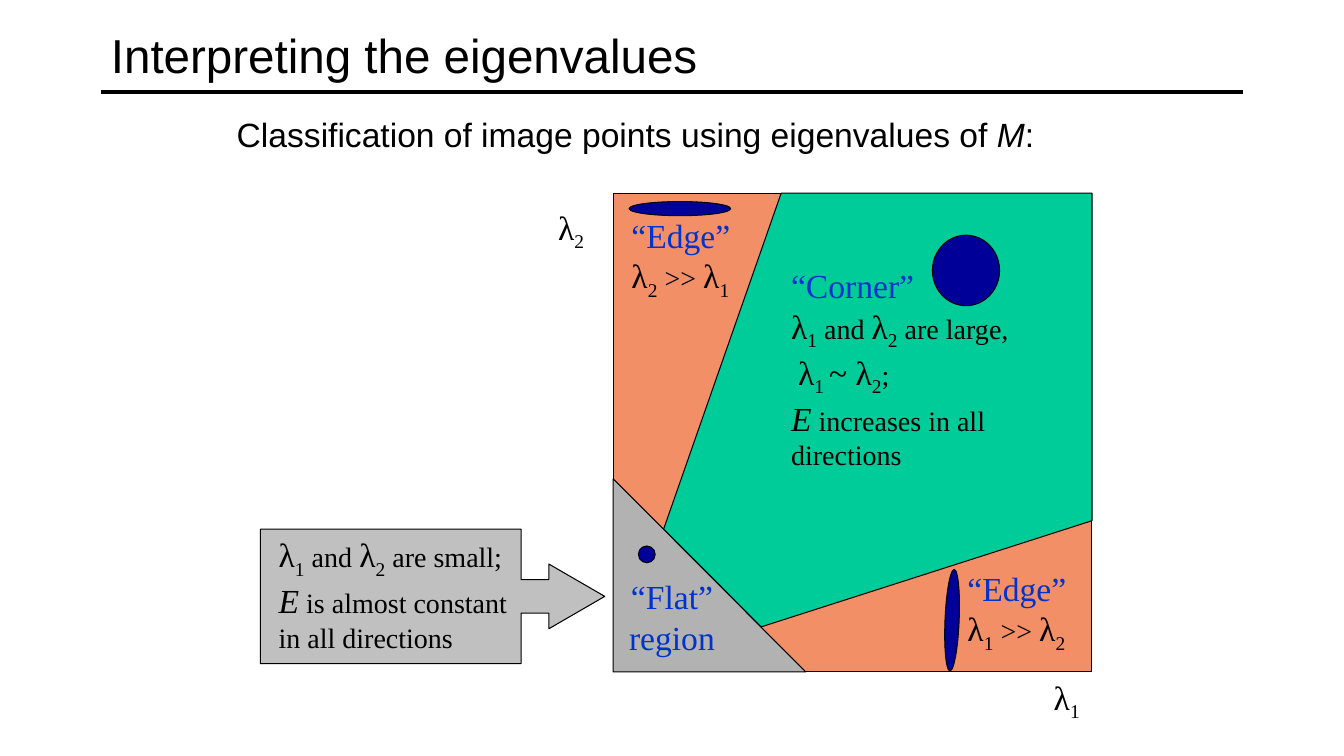
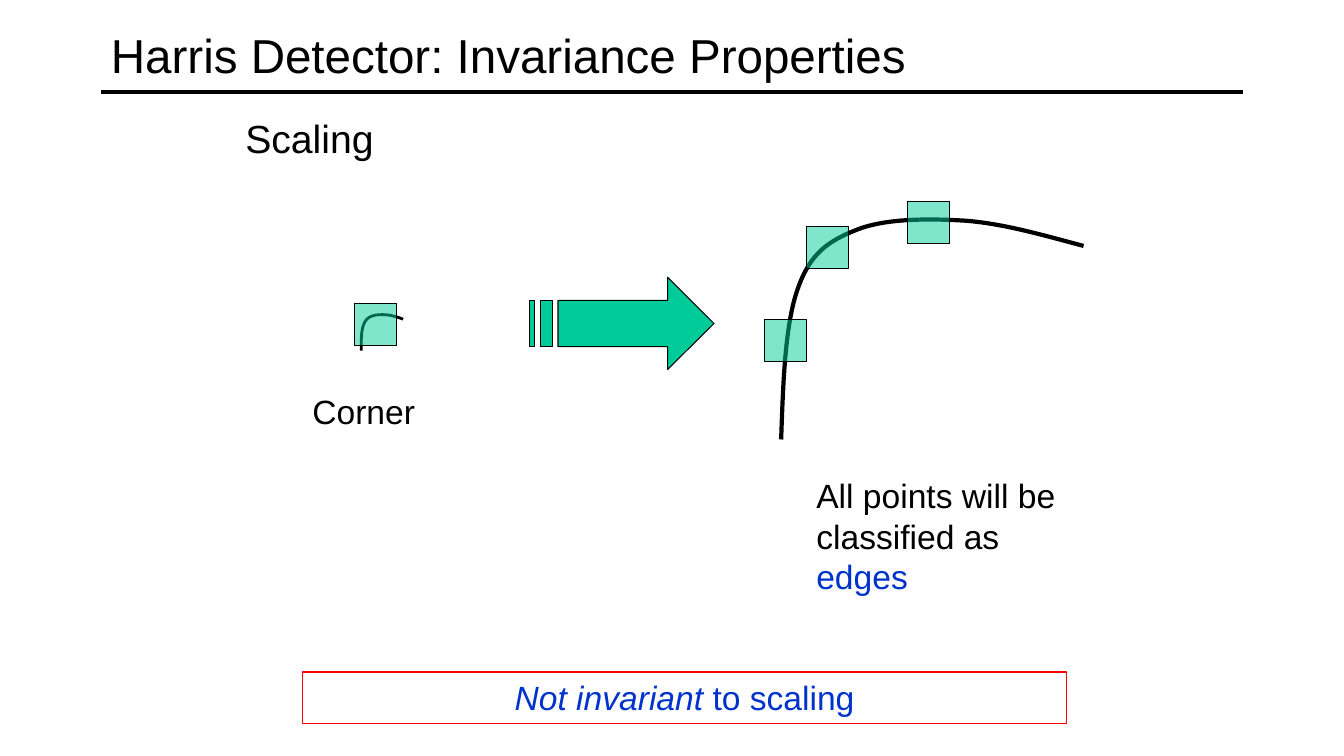
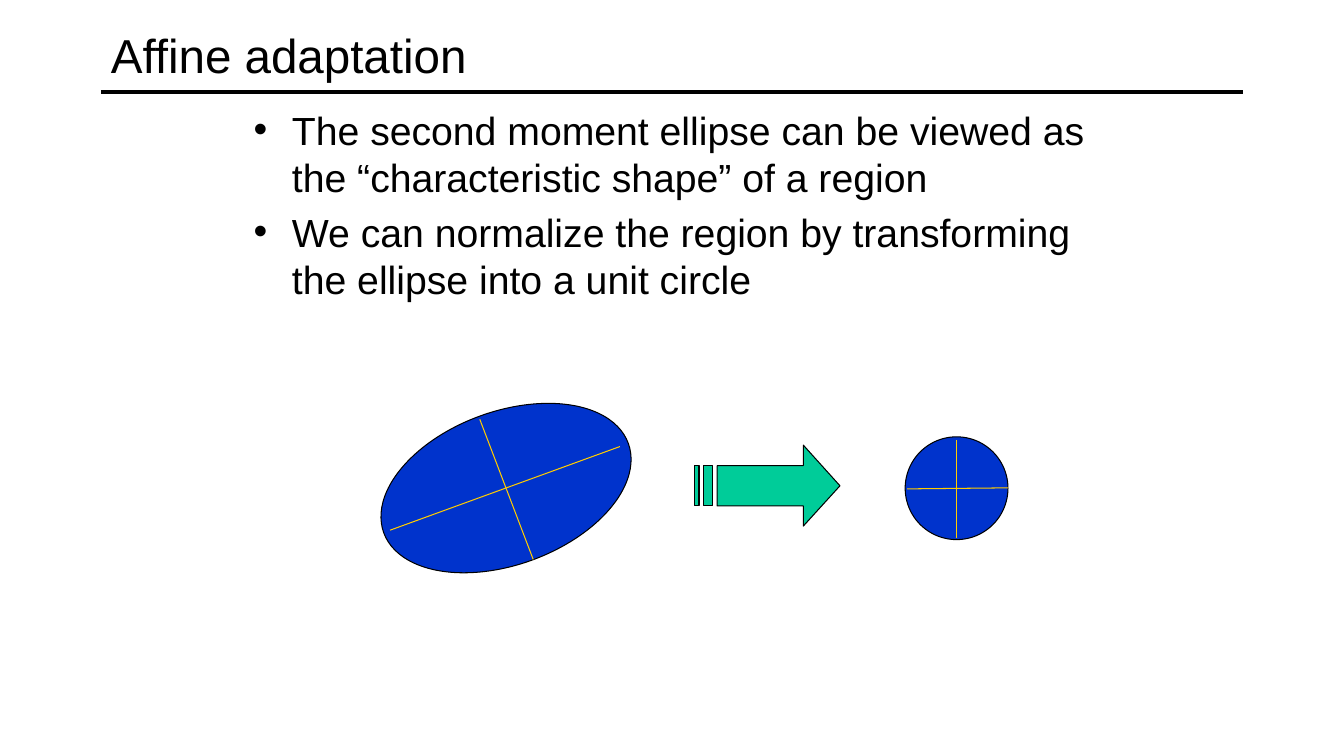
from dataclasses import dataclass, replace

from lxml import etree
from pptx import Presentation
from pptx.dml.color import RGBColor as RGB
from pptx.enum.shapes import MSO_CONNECTOR as CONN, MSO_SHAPE as SHAPE
from pptx.enum.text import MSO_ANCHOR as ANCHOR, MSO_AUTO_SIZE as AUTO, PP_ALIGN as ALIGN
from pptx.oxml.ns import qn
from pptx.util import Inches, Pt


@dataclass(frozen=True)
class Style:
    font: str
    size: int
    color: str = "000000"
    italic: bool = False
    sub: bool = False


class Theme:
    BLACK, BLUE, NAVY, GREEN = "000000", "0033CC", "000099", "00CC99"
    ORANGE, GRAY, SILVER, RED, GOLD = "F38F67", "B2B2B2", "C0C0C0", "FF0000", "FFCC00"
    THIN, CURVE_SMALL, THICK = 0.75, 2, 3
    TITLE = Style("Arial", 34)
    BODY = Style("Arial", 28)
    NOTE = Style("Arial", 24)
    NOTE_VAR = replace(NOTE, italic=True)
    NOTE_KEY = replace(NOTE, color=BLUE)
    NOTE_KEY_VAR = replace(NOTE_KEY, italic=True)
    MATH = Style("Times New Roman", 24)
    MATH_VAR = replace(MATH, italic=True)
    MATH_SUB = replace(MATH, sub=True)
    MATH_TEXT = replace(MATH, size=20)
    REGION = replace(MATH, color=BLUE)


GRID = 12
BULLET_SPACE = Pt(5.6)
HANG = Inches(0.38)
CORNER_CURVE = [
    (0, 2.19),
    (0.02, 1.61), (0.04, 1.04), (0.17, 0.69),
    (0.29, 0.34), (0.47, 0.22), (0.75, 0.11),
    (1.03, 0), (1.46, 0), (1.83, 0.02),
    (2.21, 0.05), (2.6, 0.16), (3, 0.27),
]


def snap(v):
    on_grid = round(v * GRID) / GRID
    return on_grid if abs(on_grid - v) < 0.005 else v


def box(*lengths):
    return [Inches(snap(v)) for v in lengths]


def add_runs(p, runs):
    for text, style in runs:
        for i, part in enumerate(text.split("\n")):
            if i:
                p.add_line_break()
            if not part:
                continue
            r = p.add_run()
            r.text = part
            f = r.font
            f.name, f.size, f.italic = style.font, Pt(style.size), style.italic
            f.color.rgb = RGB.from_string(style.color)
            if style.sub:
                f._element.set("baseline", "-25000")


def lam(index):
    return [("λ", Theme.MATH), (index, Theme.MATH_SUB)]


def write(sp, runs, align=ALIGN.LEFT):
    tf = sp.text_frame
    tf.word_wrap = True
    tf.auto_size = AUTO.SHAPE_TO_FIT_TEXT
    tf.vertical_anchor = ANCHOR.TOP
    p = tf.paragraphs[0]
    p.alignment = align
    add_runs(p, runs)


def add_text(shapes, at, runs, align=ALIGN.LEFT):
    write(shapes.add_textbox(*box(*at)), runs, align)


def paint(sp, fill=None, line=Theme.BLACK, width=Theme.THIN, alpha=None):
    sp.shadow.inherit = False
    if fill:
        sp.fill.solid()
        sp.fill.fore_color.rgb = RGB.from_string(fill)
    else:
        sp.fill.background()
    if alpha:
        color = sp.element.spPr.find(qn("a:solidFill"))[0]
        etree.SubElement(color, qn("a:alpha")).set("val", str(alpha * 1000))
    sp.line.color.rgb = RGB.from_string(line)
    sp.line.width = Pt(width)
    return sp


def add_preset(shapes, kind, at, fill=None, rotation=0, **look):
    sp = shapes.add_shape(kind, *box(*at))
    sp.rotation = rotation
    return paint(sp, fill, **look)


def add_outline(shapes, contours, fill=None, close=True, **look):
    first, *others = [[box(*pt) for pt in c] for c in contours]
    builder = shapes.build_freeform(*first[0])
    builder.add_line_segments(first[1:], close=close)
    for contour in others:
        builder.move_to(*contour[0])
        builder.add_line_segments(contour[1:], close=close)
    return paint(builder.convert_to_shape(), fill, **look)


def add_line(shapes, start, end, color, width):
    ln = shapes.add_connector(CONN.STRAIGHT, *box(*start, *end))
    ln.line.color.rgb = RGB.from_string(color)
    ln.line.width = Pt(width)
    etree.SubElement(ln.element.spPr, qn("a:effectLst"))
    return ln


def add_striped_arrow(shapes, x, y, w, h):
    def stripe(a, b):
        return [(a, 1 / 4), (a, 3 / 4), (b, 3 / 4), (b, 1 / 4)]

    body = [(3 / 4, 0), (3 / 4, 1 / 4), (5 / 32, 1 / 4), (5 / 32, 3 / 4),
            (3 / 4, 3 / 4), (3 / 4, 1), (1, 1 / 2)]
    contours = [body, stripe(1 / 16, 1 / 8), stripe(0, 1 / 32)]
    add_outline(shapes, [[(x + w * u, y + h * v) for u, v in c] for c in contours], Theme.GREEN)


def add_corner_curve(shapes, x, y, w, h, width):
    full_w, full_h = CORNER_CURVE[-1][0], CORNER_CURVE[0][1]
    pts = [(x + w * u / full_w, y + h * v / full_h) for u, v in CORNER_CURVE]
    sp = add_outline(shapes, [pts], close=False, width=width)
    outline = next(sp.element.iter(qn("a:path")))
    segments = outline.findall(qn("a:lnTo"))
    for i in range(0, len(segments), 3):
        curve = etree.SubElement(outline, qn("a:cubicBezTo"))
        for segment in segments[i:i + 3]:
            curve.append(segment[0])
            outline.remove(segment)


def add_window(shapes, x, y):
    add_preset(shapes, SHAPE.RECTANGLE, (x, y, 0.42, 0.42), Theme.GREEN, alpha=50)


def add_crossed_ellipse(slide, at, axes, angle=0):
    shapes = slide.shapes.add_group_shape().shapes
    add_preset(shapes, SHAPE.OVAL, at, Theme.BLUE, angle)
    for start, end in axes:
        add_line(shapes, start, end, Theme.GOLD, Theme.THIN)


def place(sp, at):
    sp.left, sp.top, sp.width, sp.height = box(*at)
    tf = sp.text_frame
    tf.word_wrap = True
    tf.auto_size = AUTO.NONE
    return tf


def new_slide(prs, layout, title):
    slide = prs.slides.add_slide(prs.slide_layouts[layout])
    tf = place(slide.shapes.title, (1, 0.08, 11.33, 0.92))
    tf.vertical_anchor = ANCHOR.MIDDLE
    p = tf.paragraphs[0]
    p.alignment = ALIGN.LEFT
    add_runs(p, [(title, Theme.TITLE)])
    return slide


def add_master_rule(prs, slide):
    rule = add_line(slide.shapes, (1, 0.92), (12.33, 0.92), Theme.BLACK, Theme.THICK)
    rule.element.nvCxnSpPr.cNvPr.set("id", "20")
    prs.slide_master.shapes.element.append(rule.element)


def fill_body(slide, at, items, bullet=None):
    tf = place(slide.placeholders[1], at)
    for i, item in enumerate(items):
        p = tf.add_paragraph() if i else tf.paragraphs[0]
        pPr = p._p.get_or_add_pPr()
        pPr.set("marL", str(HANG))
        pPr.set("indent", str(-HANG))
        if bullet:
            etree.SubElement(pPr, qn("a:buChar")).set("char", bullet)
        else:
            etree.SubElement(pPr, qn("a:buNone"))
        p.space_before = BULLET_SPACE if i else Pt(0)
        add_runs(p, [(item, Theme.BODY)])


def eigenvalue_slide(prs):
    slide = new_slide(prs, 5, "Interpreting the eigenvalues")
    shapes = slide.shapes
    callout = add_preset(shapes, SHAPE.RIGHT_ARROW_CALLOUT, (2.58, 5.25, 3.42, 1.33), Theme.SILVER)
    for i, value in enumerate((0.25, 0.241, 0.416, 0.757)):
        callout.adjustments[i] = value

    add_preset(shapes, SHAPE.RECTANGLE, (6.08, 1.92, 4.75, 4.75), Theme.ORANGE)
    add_text(shapes, (10.17, 6.67, 0.83, 0.5), lam("1"), ALIGN.CENTER)
    add_text(shapes, (5.08, 2, 1.17, 0.5), lam("2"), ALIGN.CENTER)
    corner = [(6.58, 5.25), (7.75, 1.92), (10.83, 1.92), (10.83, 5.17), (7.55, 6.22)]
    add_outline(shapes, [corner], Theme.GREEN)
    add_preset(shapes, SHAPE.RIGHT_TRIANGLE, (6.08, 4.75, 1.91, 1.92), Theme.GRAY)

    text, var = Theme.MATH_TEXT, Theme.MATH_VAR
    both = [*lam("1"), (" and ", text), *lam("2")]
    add_text(shapes, (7.75, 2.58, 2.92, 2.05), [
        ("“Corner”\n", Theme.REGION), *both, (" are large,\n ", text),
        *lam("1 "), ("~ ", Theme.MATH), *lam("2"), (";\n", text),
        ("E", var), (" increases in all directions", text)])
    add_text(shapes, (2.67, 5.25, 2.58, 1.24), [
        *both, (" are small;\n", text),
        ("E", var), (" is almost constant in all directions", text)])
    for x, y, large, small in ((9.5, 5.58, "1", "2"), (6.17, 2.08, "2", "1")):
        add_text(shapes, (x, y, 1.42, 0.91), [
            ("“Edge” \n", Theme.REGION), *lam(large), (" >> ", text), *lam(small)])
    add_text(shapes, (6, 5.67, 1.33, 0.91), [("“Flat” region", Theme.REGION)], ALIGN.CENTER)
    add_text(shapes, (2.25, 1.08, 8.75, 0.51), [
        ("Classification of image points using eigenvalues of ", Theme.NOTE),
        ("M", Theme.NOTE_VAR), (":", Theme.NOTE)])

    for *at, angle in ((9.25, 2.33, 0.67, 0.7, 0), (6.24, 2, 1.01, 0.14, 0),
                       (6.33, 5.42, 0.17, 0.17, 0), (8.94, 6.08, 1.01, 0.14, 92.4)):
        add_preset(shapes, SHAPE.OVAL, at, Theme.NAVY, angle)
    return slide


def invariance_slide(prs):
    slide = new_slide(prs, 1, "Harris Detector: Invariance Properties")
    shapes = slide.shapes
    fill_body(slide, (2.33, 1.08, 8.5, 4.5), ["Scaling"])
    add_text(shapes, (8, 4.67, 2.83, 1.31), [
        ("All points will be classified as ", Theme.NOTE), ("edges", Theme.NOTE_KEY)])

    before = shapes.add_group_shape().shapes
    add_corner_curve(before, 3.58, 3.12, 0.42, 0.36, Theme.CURVE_SMALL)
    add_window(before, 3.52, 3.01)
    add_text(shapes, (3, 3.83, 1.75, 0.51), [("Corner", Theme.NOTE)])

    verdict = add_preset(shapes, SHAPE.RECTANGLE, (3, 6.67, 7.58, 0.51), line=Theme.RED)
    write(verdict, [("Not invariant ", Theme.NOTE_KEY_VAR), ("to scaling", Theme.NOTE_KEY)],
          ALIGN.CENTER)

    after = shapes.add_group_shape().shapes
    add_corner_curve(after, 7.75, 2.17, 3, 2.19, Theme.THICK)
    add_striped_arrow(after, 5.25, 2.75, 1.83, 0.92)
    for x, y in ((9, 2), (8, 2.25), (7.58, 3.17)):
        add_window(after, x, y)


def affine_slide(prs):
    slide = new_slide(prs, 1, "Affine adaptation")
    fill_body(slide, (2.42, 1, 8.5, 2.25), [
        "The second moment ellipse can be viewed as the “characteristic shape” of a region",
        "We can normalize the region by transforming the ellipse into a unit circle",
    ], "•")
    add_striped_arrow(slide.shapes, 6.89, 4.42, 1.44, 0.8)
    add_crossed_ellipse(slide, (8.98, 4.33, 1.02, 1.02),
                        [((9.49, 4.37), (9.49, 5.33)), ((9, 4.85), (10, 4.84))])
    add_crossed_ellipse(slide, (4.26, 3.55, 1.52, 2.58),
                        [((6.15, 4.43), (3.87, 5.26)), ((4.76, 4.16), (5.29, 5.55))], 69.9)


def main():
    prs = Presentation()
    prs.slide_width, prs.slide_height = box(13.33, 7.5)
    add_master_rule(prs, eigenvalue_slide(prs))
    invariance_slide(prs)
    affine_slide(prs)
    prs.save("out.pptx")


if __name__ == "__main__":
    main()
